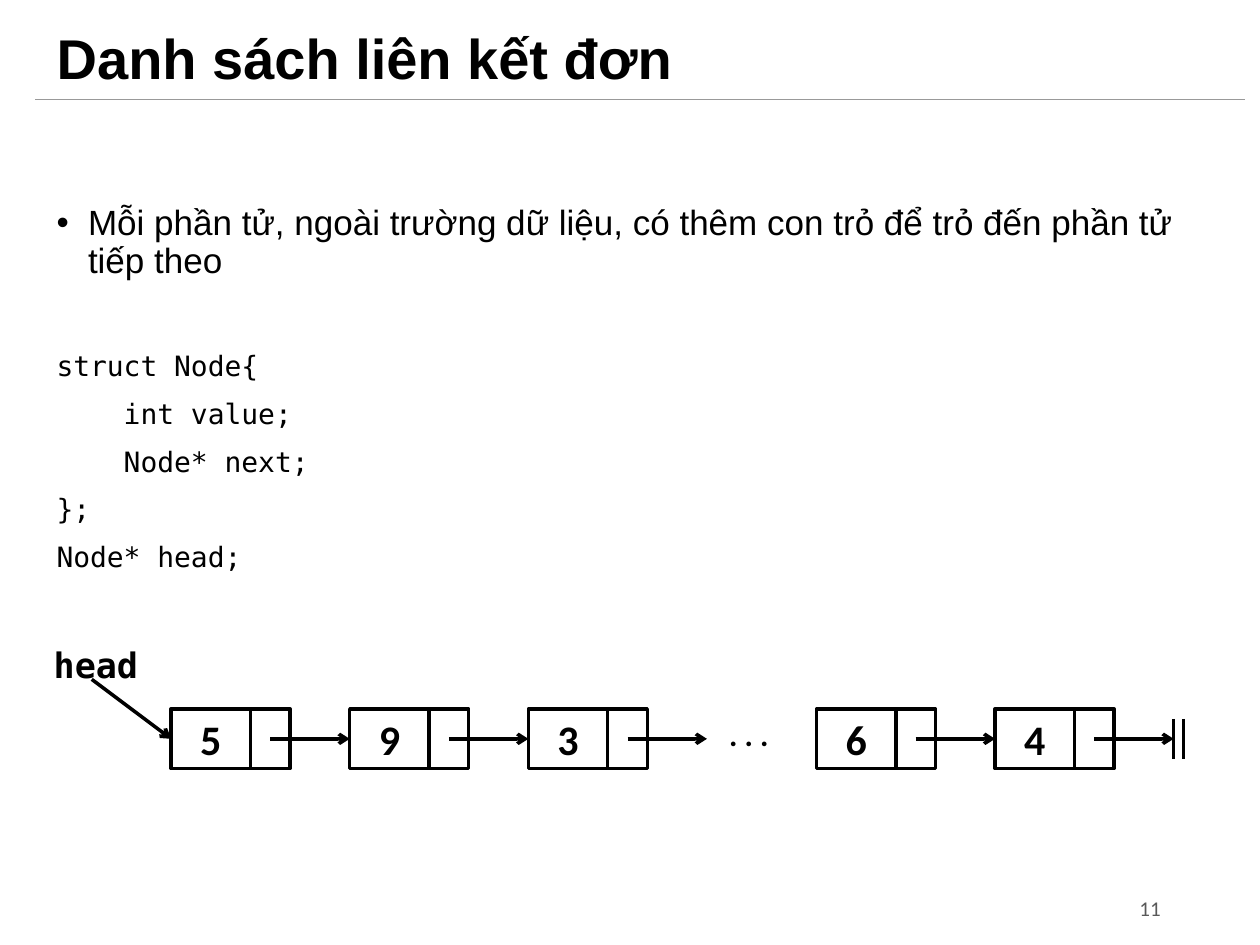
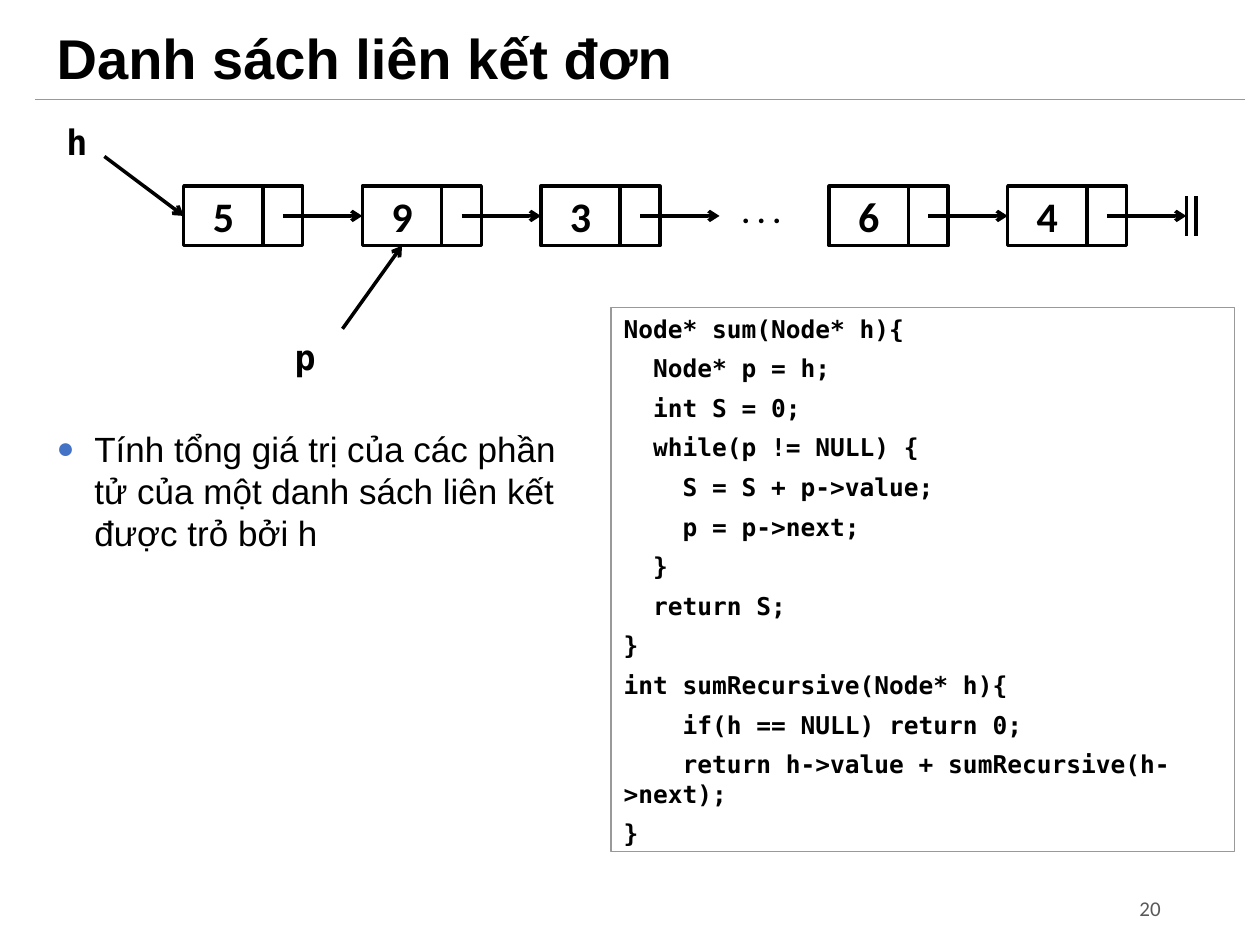
import pptx
import pptx.dml.color
import pptx.enum.shapes
import pptx.enum.text
import pptx.oxml
import pptx.oxml.ns
import pptx.util

Pt = pptx.util.Pt
RGBColor = pptx.dml.color.RGBColor
ALIGN = pptx.enum.text.PP_ALIGN
ANCHOR = pptx.enum.text.MSO_ANCHOR

BLACK = RGBColor(0x00, 0x00, 0x00)
RULE_GRAY = RGBColor(0x99, 0x99, 0x99)
NUMBER_GRAY = RGBColor(0x59, 0x59, 0x59)
BULLET_BLUE = RGBColor(0x44, 0x72, 0xC4)

SANS = "Arial"
CALIBRI = "Calibri"
MONO = "DejaVu Sans Mono"

TITLE = "Danh sách liên kết đơn"
CELL = 45.36
NODE_HEIGHT = 0.75 * CELL
NODE_STEP = 2.25 * CELL
ELLIPSIS_GAP = 62.6
LIST_VALUES = ["5", "9", "3", "6", "4"]
NODES_BEFORE_ELLIPSIS = 3

NODE_CODE = """struct Node{
    int value;
    Node* next;
};
Node* head;"""

SUM_CODE = """Node* sum(Node* h){
  Node* p = h;
  int S = 0;
  while(p != NULL) {
    S = S + p->value;
    p = p->next;
  }
  return S;
}
int sumRecursive(Node* h){
    if(h == NULL) return 0;
    return h->value + sumRecursive(h->next);
}"""


def format_paragraph(para, size, font, color=BLACK, bold=False, align=ALIGN.LEFT):
    """Align a paragraph and format its runs."""
    para.alignment = align
    for span in para.runs:
        span.font.size = Pt(size)
        span.font.name = font
        span.font.bold = bold
        span.font.color.rgb = color


def fill_text(shape, lines, size, font, space_before=0, anchor=ANCHOR.TOP, **style):
    """Write lines into a shape, one paragraph each."""
    frame = shape.text_frame
    frame.word_wrap = True
    frame.vertical_anchor = anchor
    for index, line in enumerate(lines):
        para = frame.add_paragraph() if index else frame.paragraphs[0]
        para.text = line
        para.space_before = Pt(space_before if index else 0)
        format_paragraph(para, size, font, **style)
    return frame.paragraphs


def add_text(page, box, lines, size, font, **style):
    """Add a text box at (left, top, width, height)."""
    shape = page.shapes.add_textbox(*map(Pt, box))
    return fill_text(shape, lines, size, font, **style)


def add_frame(page, box, color=BLACK, width=2):
    """Add an unfilled rectangle with an outline."""
    frame = page.shapes.add_shape(
        pptx.enum.shapes.MSO_SHAPE.RECTANGLE, *map(Pt, box))
    frame.shadow.inherit = False
    frame.fill.background()
    frame.line.color.rgb = color
    frame.line.width = Pt(width)
    return frame


def add_line(page, start, end, color=BLACK, width=2, arrow=False):
    """Draw a straight line, with an arrowhead at its end if asked."""
    line = page.shapes.add_connector(
        pptx.enum.shapes.MSO_CONNECTOR.STRAIGHT, *map(Pt, (*start, *end)))
    line.line.color.rgb = color
    line.line.width = Pt(width)
    properties = line._element.spPr
    if arrow:
        outline = properties.find(pptx.oxml.ns.qn("a:ln"))
        outline.append(pptx.oxml.parse_xml(
            f'<a:tailEnd {pptx.oxml.ns.nsdecls("a")} type="arrow"/>'))
    properties.append(pptx.oxml.parse_xml(
        f'<a:effectLst {pptx.oxml.ns.nsdecls("a")}/>'))


def add_bullet(para, symbol, indent, color=BLACK, percent=100):
    """Give a paragraph a hanging bullet."""
    properties = para._p.get_or_add_pPr()
    properties.set("marL", str(Pt(indent)))
    properties.set("indent", str(-Pt(indent)))
    names = pptx.oxml.ns.nsdecls("a")
    for xml in (
        f'<a:buClr {names}><a:srgbClr val="{color}"/></a:buClr>',
        f'<a:buSzPct {names} val="{percent * 1000}"/>',
        f'<a:buFont {names} typeface="{SANS}"/>',
        f'<a:buChar {names} char="{symbol}"/>',
    ):
        properties.append(pptx.oxml.parse_xml(xml))


def add_page(deck, number):
    """Add a page with the shared title, rule and page number."""
    page = deck.slides.add_slide(deck.slide_layouts[5])
    title = page.shapes.title
    title.left, title.top, title.width, title.height = map(Pt, (25.2, 9.4, 680.4, 51))
    para = fill_text(title, [TITLE], 32, SANS, anchor=ANCHOR.MIDDLE, bold=True)[0]
    para.line_spacing = 0.9
    add_line(page, (20.2, 56.9), (711.4, 56.9), RULE_GRAY, 0.5)
    add_text(page, (580.3, 504.7, 90, 28.8), [number], 12, CALIBRI,
             anchor=ANCHOR.MIDDLE, color=NUMBER_GRAY, align=ALIGN.RIGHT)
    return page


def add_label(page, box, text):
    """Add the bold name of a pointer."""
    add_text(page, box, [text], 20, MONO, bold=True)


def add_node(page, left, top, value):
    """Draw a value cell, its pointer cell and the arrow to the next node."""
    value_cell = add_frame(page, (left, top, CELL, NODE_HEIGHT))
    fill_text(value_cell, [value], 24, CALIBRI, anchor=ANCHOR.MIDDLE,
              bold=True, align=ALIGN.CENTER)
    add_frame(page, (left + CELL, top, CELL / 2, NODE_HEIGHT))
    middle = top + NODE_HEIGHT / 2
    add_line(page, (left + 1.25 * CELL, middle), (left + NODE_STEP, middle), arrow=True)


def add_linked_list(page, left, top, head):
    """Draw the linked list from its head label to the end bars."""
    middle = top + NODE_HEIGHT / 2
    for index, value in enumerate(LIST_VALUES):
        gap = ELLIPSIS_GAP if index >= NODES_BEFORE_ELLIPSIS else 0
        add_node(page, left + index * NODE_STEP + gap, top, value)
    ellipsis_left = left + NODES_BEFORE_ELLIPSIS * NODE_STEP + 5.6
    add_text(page, (ellipsis_left, top, 67.7, 29), [". . ."], 18, CALIBRI, bold=True)
    add_line(page, (left - CELL, middle - NODE_HEIGHT), (left, middle), arrow=True)
    add_label(page, (left - 74.2, top - 41, 67.7, 31.7), head)
    end = left + len(LIST_VALUES) * NODE_STEP + ELLIPSIS_GAP
    for bar in (end, end + CELL / 8):
        add_line(page, (bar, middle - CELL / 4), (bar, middle + CELL / 4))


def add_definition(page, box):
    """Write the description of a node followed by its declaration."""
    lines = ["Mỗi phần tử, ngoài trường dữ liệu, có thêm con trỏ để trỏ đến phần tử tiếp theo",
             *NODE_CODE.split("\n")]
    paragraphs = add_text(page, box, lines, 16, MONO, space_before=10)
    format_paragraph(paragraphs[0], 20, SANS)
    add_bullet(paragraphs[0], "•", 18)
    paragraphs[1].space_before = Pt(41)
    for para in paragraphs:
        para.line_spacing = 0.9


def add_code_panel(page, box):
    """Frame the two summing functions."""
    panel = add_frame(page, box, RULE_GRAY, 0.75)
    fill_text(panel, SUM_CODE.split("\n"), 14, MONO, space_before=5.8, bold=True)


def add_task(page, box):
    """State the exercise beside a blue bullet."""
    text = "Tính tổng giá trị của các phần tử của một danh sách liên kết được trỏ bởi h"
    para = add_text(page, box, [text], 20, SANS)[0]
    add_bullet(para, "●", 21.6, BULLET_BLUE, 85)


def add_walker(page, left, top):
    """Draw pointer p aimed at the bottom of the second node of the list."""
    target = (left + NODE_STEP + CELL / 2, top + NODE_HEIGHT)
    start = (target[0] - 0.75 * CELL, target[1] + 47.5)
    add_line(page, start, target, arrow=True)
    add_label(page, (start[0] - 34.5, start[1], 34, 31.7), "p")


def build_definition_page(deck):
    """Build the page that defines the linked list."""
    page = add_page(deck, "11")
    add_definition(page, (25.2, 113.8, 668.9, 393.8))
    add_linked_list(page, 97.8, 405.2, "head")


def build_sum_page(deck):
    """Build the page that sums the list."""
    page = add_page(deck, "20")
    left, top = 105, 106.4
    add_linked_list(page, left, top, "h")
    add_walker(page, left, top)
    add_code_panel(page, (349.2, 175.7, 356.4, 311))
    add_task(page, (25.2, 240.5, 308.9, 216))


def main():
    """Build and save the deck."""
    deck = pptx.Presentation()
    deck.slide_width, deck.slide_height = Pt(720), Pt(540)
    build_definition_page(deck)
    build_sum_page(deck)
    deck.save("out.pptx")


if __name__ == "__main__":
    main()
